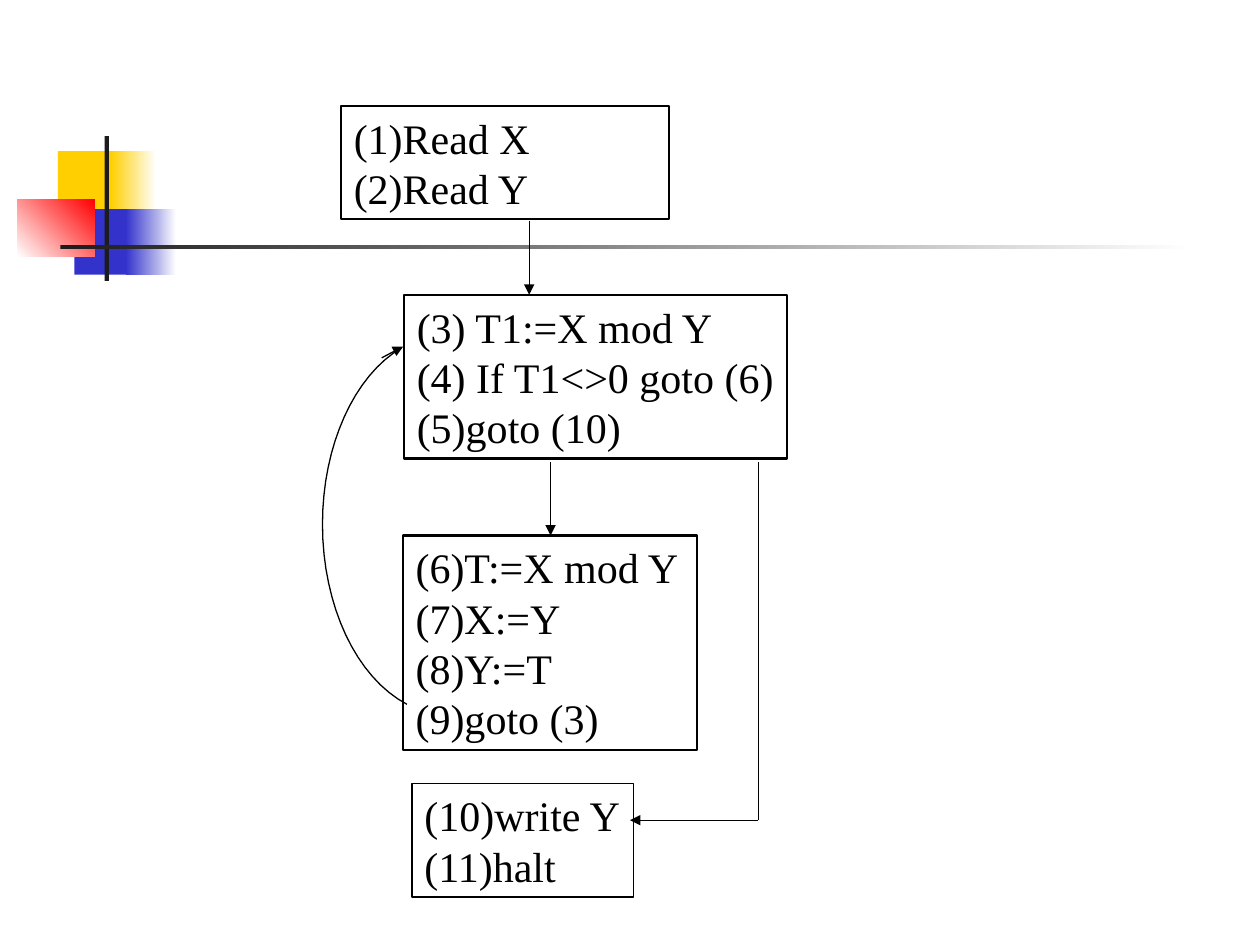
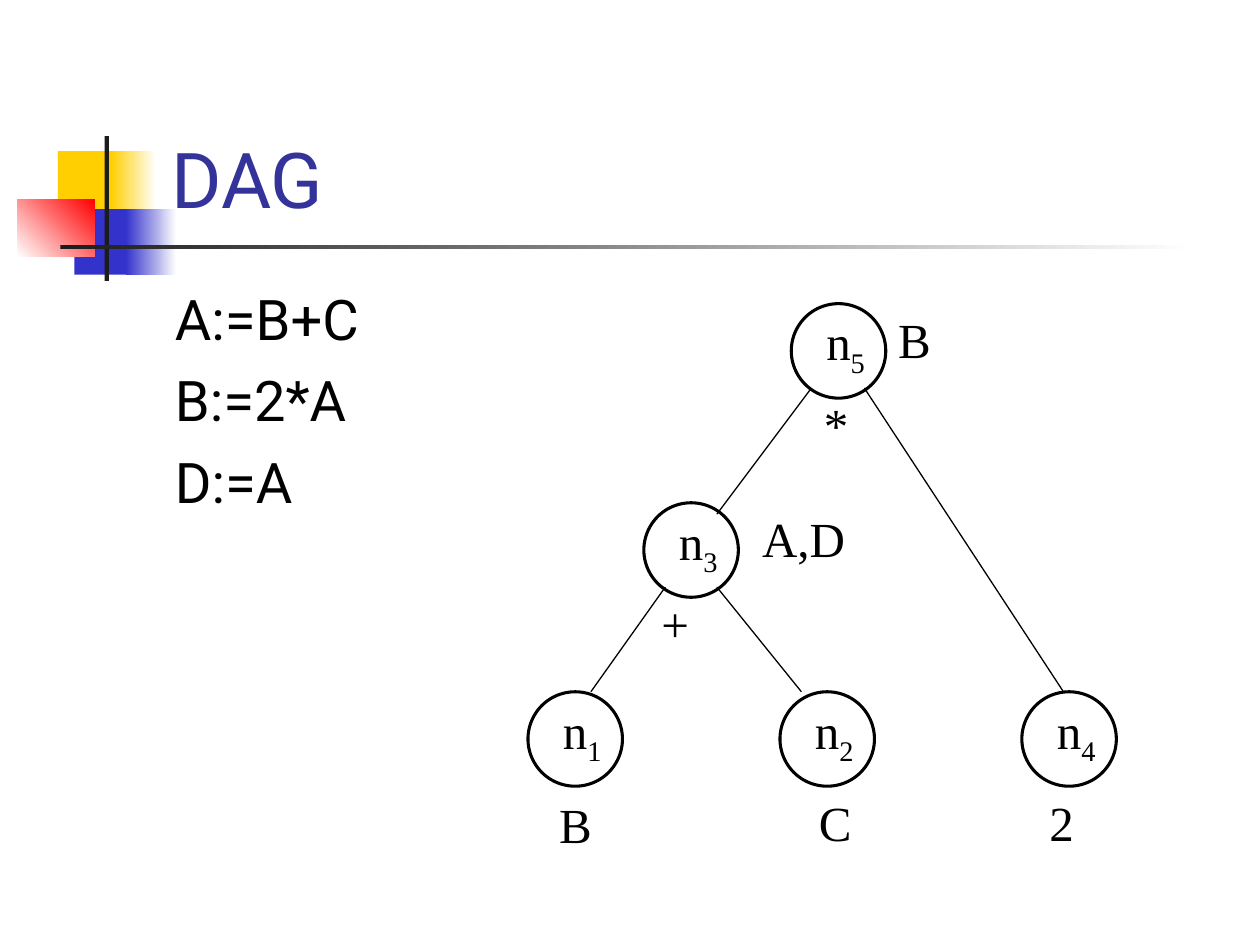
import pptx
import pptx.dml.color
import pptx.enum.shapes
import pptx.enum.text
import pptx.oxml.ns
import pptx.util
from lxml import etree

RGBColor = pptx.dml.color.RGBColor
BLACK = RGBColor(0x00, 0x00, 0x00)
WHITE = RGBColor(0xFF, 0xFF, 0xFF)
INK = RGBColor(0x1C, 0x1C, 0x1C)
YELLOW = RGBColor(0xFF, 0xCF, 0x01)
BLUE = RGBColor(0x33, 0x33, 0xCC)
RED = RGBColor(0xFF, 0x00, 0x00)
TITLE_BLUE = RGBColor(0x33, 0x33, 0x99)

RECT = pptx.enum.shapes.MSO_SHAPE.RECTANGLE
OVAL = pptx.enum.shapes.MSO_SHAPE.OVAL
STRAIGHT = pptx.enum.shapes.MSO_CONNECTOR.STRAIGHT
ANCHOR = pptx.enum.text.MSO_ANCHOR
LEFT = pptx.enum.text.PP_ALIGN.LEFT
Pt = pptx.util.Pt

COLUMNS, ROWS = 100, 75
SANS, SERIF = "Roboto", "Times New Roman"
NODE = 7.5
THIN, MEDIUM, THICK = 0.75, 1.25, 1.75

BAND = [
    (4.6, 12, 4.8, 5.2, [YELLOW], 0),
    (8.8, 12, 3.6, 5.2, [YELLOW, WHITE], 0),
    (5.9, 16.6, 4.6, 5.2, [BLUE], 0),
    (10, 16.6, 4, 5.2, [BLUE, WHITE], 0),
    (1.4, 15.8, 6.1, 4.6, [WHITE, RED], 45),
    (8.3, 10.8, 0.35, 11.5, [INK], 0),
    (4.8, 19.45, 90, 0.35, [INK, WHITE], 0),
]


class Deck:
    def __init__(self):
        self.prs = pptx.Presentation()
        self.prs.slide_width = pptx.util.Inches(10)
        self.prs.slide_height = pptx.util.Inches(7.5)
        self.s = None

    def grid(self, *lengths):
        units = (self.prs.slide_width / COLUMNS, self.prs.slide_height / ROWS)
        return [round(n * units[i % 2]) for i, n in enumerate(lengths)]

    def slide(self, title=None):
        layout = self.prs.slide_layouts[5 if title else 6]
        self.s = self.prs.slides.add_slide(layout)
        for x, y, w, h, colors, angle in BAND:
            self.shape(RECT, x, y, w, h, colors, angle)
        if title:
            sp = self.s.shapes.title
            sp.left, sp.top, sp.width, sp.height = self.grid(12.6, 2.3, 85.2, 16)
            self.set_text(sp, [title], 44, SANS, TITLE_BLUE, anchor=ANCHOR.BOTTOM)

    def shape(self, kind, x, y, w, h, colors=(), angle=0, line=None):
        sp = self.s.shapes.add_shape(kind, *self.grid(x, y, w, h))
        sp.shadow.inherit = False
        if len(colors) == 2:
            sp.fill.gradient()
            sp.fill.gradient_angle = angle
            for stop, color in zip(sp.fill.gradient_stops, colors):
                stop.color.rgb = color
        elif colors:
            sp.fill.solid()
            sp.fill.fore_color.rgb = colors[0]
        else:
            sp.fill.background()
        self.outline(sp, line)
        return sp

    def outline(self, sp, width):
        if width is None:
            sp.line.fill.background()
        else:
            sp.line.color.rgb = BLACK
            sp.line.width = Pt(width)

    def set_font(self, r, size, font, color):
        r.font.size = Pt(size)
        r.font.name = font
        r.font.color.rgb = color

    def set_text(self, sp, lines, size, font, color=BLACK, anchor=ANCHOR.TOP,
                 before=0, pitch=None):
        tf = sp.text_frame
        tf.word_wrap = True
        tf.auto_size = pptx.enum.text.MSO_AUTO_SIZE.NONE
        tf.vertical_anchor = anchor
        tf.margin_right = 0
        tf.text = "\n".join(lines)
        for i, p in enumerate(tf.paragraphs):
            p.alignment = LEFT
            p.space_before = Pt(before if i else 0)
            if pitch:
                p.line_spacing = Pt(pitch)
            for r in p.runs:
                self.set_font(r, size, font, color)

    def block(self, x, y, w, lines, line=MEDIUM):
        sp = self.shape(RECT, x, y, w, 1 + 4 * len(lines), line=line)
        self.set_text(sp, lines, 24, SERIF, pitch=28.8)

    def body(self, lines):
        sp = self.s.shapes.add_textbox(*self.grid(12.9, 22.1, 85, 45))
        self.set_text(sp, lines, 32, SANS, before=8)

    def label(self, x, y, w, text, subscript=None):
        sp = self.s.shapes.add_textbox(*self.grid(x, y, w, 6.3 if subscript else 5.7))
        self.set_text(sp, [text], 28, SERIF, pitch=38 if subscript else 33.6)
        if subscript:
            r = sp.text_frame.paragraphs[0].add_run()
            r.text = subscript
            self.set_font(r, 28, SERIF, BLACK)
            r._r.get_or_add_rPr().set("baseline", "-25000")

    def node(self, x, y, number):
        self.shape(OVAL, x, y, NODE, NODE, [WHITE], line=THICK)
        self.label(x + 1.8, y + 0.2, 5, "n", number)

    def link(self, x1, y1, x2, y2, arrow=False):
        cn = self.s.shapes.add_connector(STRAIGHT, *self.grid(x1, y1, x2, y2))
        self.outline(cn, THIN)
        qn = pptx.oxml.ns.qn
        props = cn.element.spPr
        if arrow:
            etree.SubElement(props.get_or_add_ln(), qn("a:tailEnd"), type="triangle")
        etree.SubElement(props, qn("a:effectLst"))

    def curve(self, start, *beziers, steps=16):
        points, here = [], start
        for b, c, end in beziers:
            for i in range(1, steps + 1):
                t = i / steps
                u = 1 - t
                points.append(self.grid(*(
                    u**3 * p0 + 3 * u * u * t * p1 + 3 * u * t * t * p2 + t**3 * p3
                    for p0, p1, p2, p3 in zip(here, b, c, end))))
            here = end
        builder = self.s.shapes.build_freeform(*self.grid(*start))
        builder.add_line_segments(points, close=False)
        sp = builder.convert_to_shape()
        sp.shadow.inherit = False
        sp.fill.background()
        self.outline(sp, THIN)


def flow_graph(deck):
    deck.slide()
    deck.block(27.1, 8.4, 26, ["(1)Read X", "(2)Read Y"])
    deck.block(32.1, 23.4, 30.4,
               ["(3) T1:=X mod Y", "(4) If T1<>0 goto (6)", "(5)goto (10)"])
    deck.block(32, 42.5, 23.3,
               ["(6)T:=X mod Y", "(7)X:=Y", "(8)Y:=T", "(9)goto (3)"])
    deck.block(32.7, 62.2, 17.6, ["(10)write Y", "(11)halt"], line=THIN)
    deck.link(42, 17.5, 42, 23.4, arrow=True)
    deck.link(43.7, 36.7, 43.7, 42.5, arrow=True)
    deck.link(60.2, 36.7, 60.2, 65.1)
    deck.link(60.2, 65.1, 50, 65.1, arrow=True)
    deck.curve((32.3, 55.9),
               ((28.3, 53.8), (25.6, 48.1), (25.6, 41.6)),
               ((25.6, 35.4), (28.1, 29.8), (31.9, 27.6)))
    deck.link(30.3, 28.4, 32, 27.5, arrow=True)


def expression_dag(deck):
    deck.slide("DAG")
    deck.body(["A:=B+C", "B:=2*A", "D:=A"])
    leaf_y = 54.9
    for x, y, number in [(41.9, leaf_y, "1"), (61.9, leaf_y, "2"),
                         (51.1, 39.9, "3"), (81.1, leaf_y, "4"),
                         (62.8, 24.1, "5")]:
        deck.node(x, y, number)
    for edge in [(52.8, 46.6, 46.9, leaf_y), (56.9, 46.6, 63.6, leaf_y),
                 (64.4, 30.8, 56.9, 40.8), (68.6, 30.8, 84.4, leaf_y)]:
        deck.link(*edge)
    for x, y, w, text in [(43.4, 62.6, 4.6, "B"), (64, 62.4, 4.6, "C"),
                          (82.3, 62.4, 3.9, "2"), (59.5, 39.9, 8.6, "A,D"),
                          (51.5, 46.6, 4.2, "+"), (70.3, 24.1, 4.6, "B"),
                          (64.4, 30.8, 3.9, "*")]:
        deck.label(x, y, w, text)


def main():
    deck = Deck()
    flow_graph(deck)
    expression_dag(deck)
    deck.prs.save("out.pptx")


if __name__ == "__main__":
    main()
